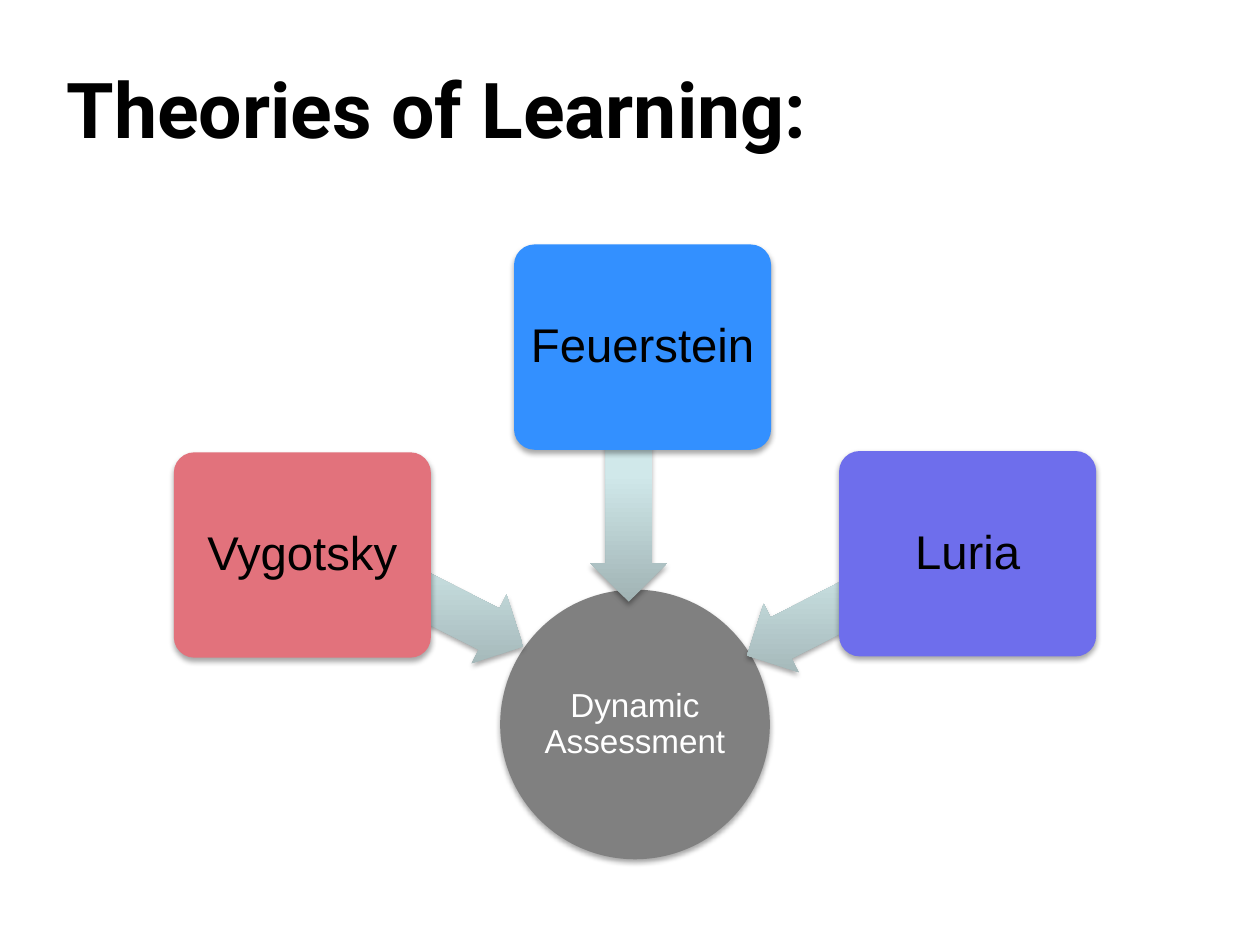
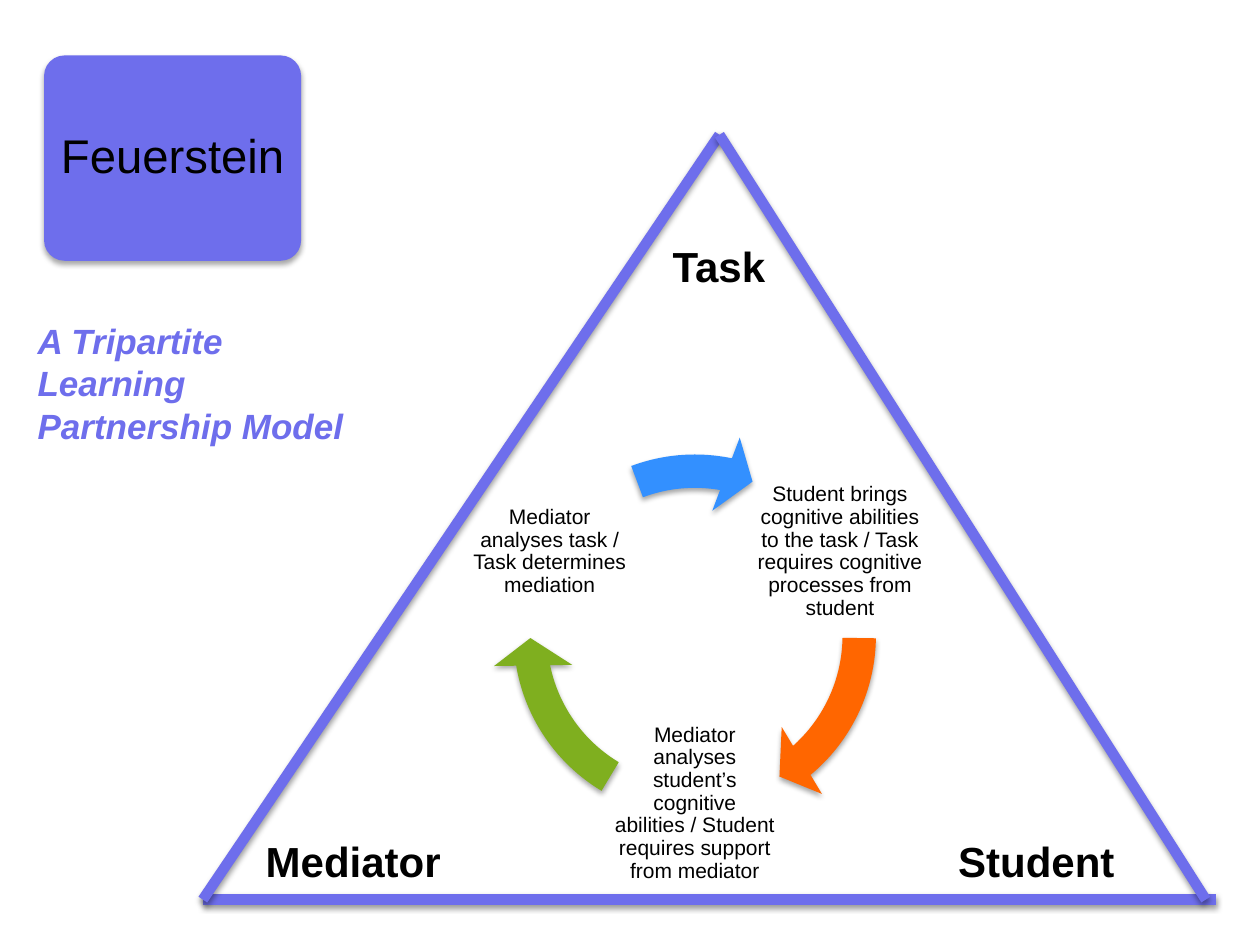
from math import cos, radians, sin

from pptx import Presentation
from pptx.dml.color import RGBColor
from pptx.enum.shapes import MSO_CONNECTOR, MSO_SHAPE as SHAPE
from pptx.enum.text import MSO_ANCHOR as ANCHOR, PP_ALIGN as ALIGN
from pptx.oxml import parse_xml
from pptx.oxml.ns import nsdecls
from pptx.util import Inches, Pt

BLACK, WHITE, GRAY = "000000", "FFFFFF", "808080"
VIOLET, BLUE, ROSE = "6E6EEC", "3390FF", "E2727C"
ORANGE, GREEN = "FF6600", "7FAF1F"
ARROW_STOPS = [(0, "A0B3B4"), (80, "D0E8EA"), (100, "D0EAEC")]
THEORY_W, THEORY_H = 2.04, 1.63


def color(value):
    return RGBColor.from_string(value)


def add_shadow(sp, alpha=35, dist=1.8):
    sp._element.spPr.append(parse_xml(
        f'<a:effectLst {nsdecls("a")}><a:outerShdw blurRad="{Pt(3.1)}" '
        f'dist="{Pt(dist)}" dir="5400000" rotWithShape="0">'
        f'<a:srgbClr val="{BLACK}"><a:alpha val="{alpha * 1000}"/></a:srgbClr>'
        '</a:outerShdw></a:effectLst>'))


def gradient_fill(sp):
    stops = "".join(f'<a:gs pos="{pos * 1000}"><a:srgbClr val="{c}"/></a:gs>'
                    for pos, c in ARROW_STOPS)
    sp._element.spPr.insert(2, parse_xml(
        f'<a:gradFill {nsdecls("a")} rotWithShape="0"><a:gsLst>{stops}</a:gsLst>'
        '<a:lin ang="16200000" scaled="0"/></a:gradFill>'))


def add_shape(s, kind, box, fill=None, adjustments=()):
    sp = s.shapes.add_shape(kind, *map(Inches, box))
    for i, value in enumerate(adjustments):
        sp.adjustments[i] = value
    if fill:
        sp.fill.solid()
        sp.fill.fore_color.rgb = color(fill)
    else:
        gradient_fill(sp)
    sp.line.fill.background()
    add_shadow(sp)
    return sp


def write(sp, text, size, c=BLACK, align=ALIGN.LEFT, font="Arial",
          bold=False, italic=False):
    tf = sp.text_frame
    tf.word_wrap = True
    p = tf.paragraphs[0]
    p.text = text
    p.alignment = align
    p.font.name, p.font.size = font, Pt(size)
    p.font.bold, p.font.italic = bold, italic
    p.font.color.rgb = color(c)
    return tf


def write_centered(sp, text, size, inset, c=BLACK):
    tf = write(sp, text, size, c, ALIGN.CENTER)
    tf.vertical_anchor = ANCHOR.MIDDLE
    tf.margin_left = tf.margin_right = Inches(inset)
    tf.margin_top = tf.margin_bottom = Inches(inset)
    tf.paragraphs[0].line_spacing = 0.9


def add_text(s, box, text, size, **style):
    write(s.shapes.add_textbox(*map(Inches, box)), text, size, **style)


def add_theory(s, left, top, name, fill):
    sp = add_shape(s, SHAPE.ROUNDED_RECTANGLE,
                   (left, top, THEORY_W, THEORY_H), fill, [0.1])
    write_centered(sp, name, 27, 0.06)


def add_hub(s, left, top):
    hub = add_shape(s, SHAPE.OVAL, (left + 2.59, top + 2.74, 2.14, 2.14), GRAY)
    write_centered(hub, "Dynamic Assessment", 19, 0.01, WHITE)
    theories = [
        ("Vygotsky", ROSE, 0, 1.65, (1.08, 2.48, 1.79), 206.9),
        ("Luria", VIOLET, 5.28, 1.64, (4.45, 2.55, 1.79), 332.9),
        ("Feuerstein", BLUE, 2.7, 0, (2.98, 1.9, 1.26), 270),
    ]
    for name, fill, dx, dy, (ax, ay, length), angle in theories:
        arrow = add_shape(s, SHAPE.LEFT_ARROW, (left + ax, top + ay, length, 0.61),
                          adjustments=[0.6, 0.5])
        arrow.rotation = angle
        add_theory(s, left + dx, top + dy, name, fill)


def add_cycle(s, left, top, size):
    label_size, radius = 1.37, 1.33
    steps = [
        ("Student brings cognitive abilities to the task / Task requires "
         "cognitive processes from student", -30, ORANGE, 29.64, 0.517),
        ("Mediator analyses student’s cognitive abilities / Student requires "
         "support from mediator", 90, GREEN, 101.722, 72.599),
        ("Mediator analyses task / Task determines mediation",
         210, BLUE, 168.568, 149.671),
    ]
    for text, angle, fill, end, start in steps:
        x = left + size / 2 + radius * cos(radians(angle)) - label_size / 2
        y = top + size / 2 + radius * sin(radians(angle)) - label_size / 2
        label = s.shapes.add_textbox(*map(Inches, (x, y, label_size, label_size)))
        write_centered(label, text, 12, 0.02)
        add_shape(s, SHAPE.CIRCULAR_ARROW, (left, top, size, size), fill,
                  [0.082, 5.761, end, start, 0.096])


def add_triangle(s, left, top, width, height):
    bottom = top + height
    apex = (left + 4.1, top)
    base_left, base_right = (left, bottom), (left + width, bottom)
    base_end = (left + width + 0.08, bottom)
    for start, end in [(base_left, base_end), (base_left, apex), (base_right, apex)]:
        side = s.shapes.add_connector(MSO_CONNECTOR.STRAIGHT,
                                      *map(Inches, start + end))
        side.line.color.rgb = color(VIOLET)
        side.line.width = Pt(6)
        add_shadow(side, 38, 1.6)
    corners = [("Task", 3.15, 0.79, ALIGN.CENTER),
               ("Student", 5.67, 5.51, ALIGN.CENTER),
               ("Mediator", 0.4, 5.51, ALIGN.LEFT)]
    for name, dx, dy, align in corners:
        add_text(s, (left + dx, top + dy, 1.89, 0.5), name, 24,
                 align=align, bold=True)


def theories_slide(s):
    add_hub(s, 1.38, 1.94)
    add_text(s, (0.43, 0.44, 7.32, 0.84), "Theories of Learning:", 44,
             font="Roboto", bold=True)


def partnership_slide(s):
    add_text(s, (0.2, 2.49, 2.68, 1.11), "A Tripartite Learning Partnership Model",
             20, c=VIOLET, bold=True, italic=True)
    add_theory(s, 0.35, 0.44, "Feuerstein", VIOLET)
    add_cycle(s, 3.9, 3.43, 3.23)
    add_triangle(s, 1.61, 1.07, 7.96, 6.07)


def main():
    prs = Presentation()
    prs.slide_width, prs.slide_height = Inches(10), Inches(7.5)
    for build in (theories_slide, partnership_slide):
        build(prs.slides.add_slide(prs.slide_layouts[6]))
    prs.save("out.pptx")


if __name__ == "__main__":
    main()
